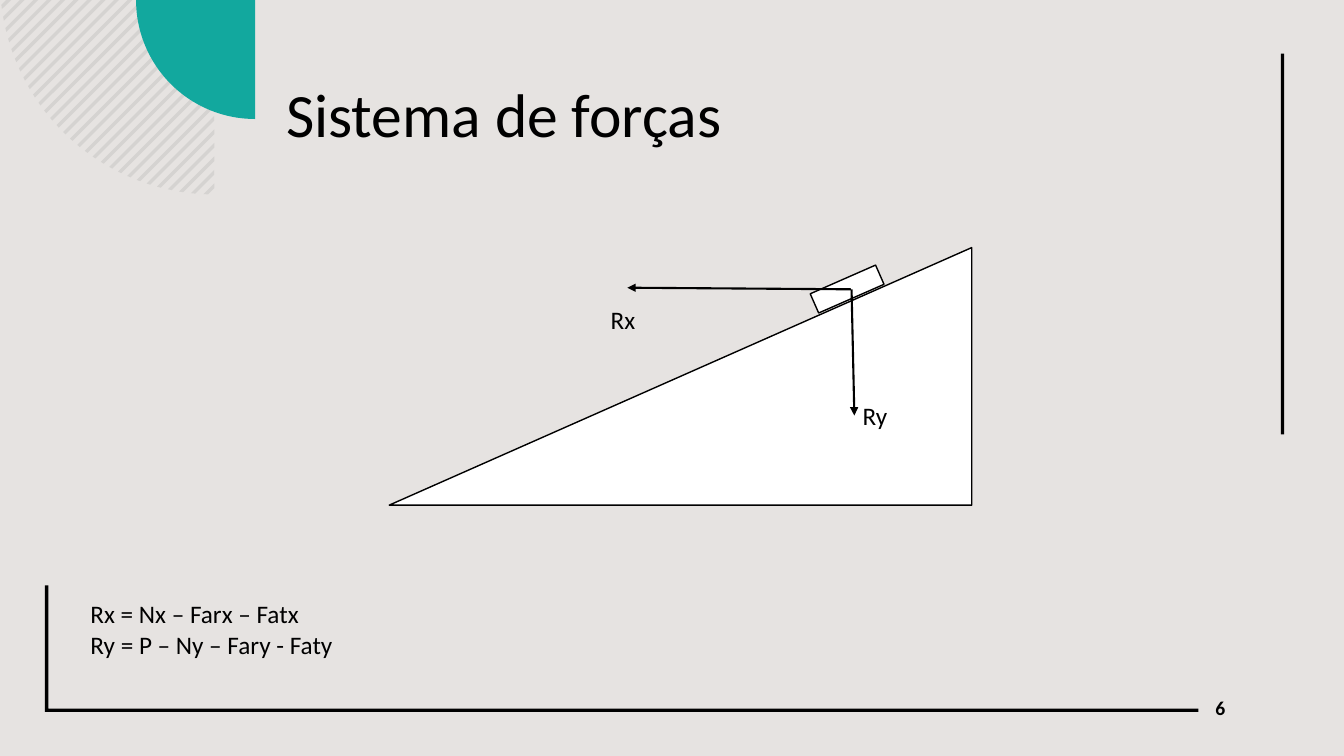
from math import cos, pi, sin, sqrt
from lxml import etree
from pptx import Presentation
from pptx.dml.color import RGBColor
from pptx.enum.shapes import MSO_CONNECTOR, MSO_SHAPE
from pptx.enum.text import MSO_ANCHOR
from pptx.oxml.ns import qn
from pptx.util import Cm, Pt

BACKGROUND = RGBColor(0xE6, 0xE3, 0xE1)
HATCH = RGBColor(0xD5, 0xD3, 0xD1)
TEAL = RGBColor(0x12, 0xA8, 0x9E)
BLACK = RGBColor(0x00, 0x00, 0x00)
WHITE = RGBColor(0xFF, 0xFF, 0xFF)

prs = Presentation()
prs.slide_width, prs.slide_height = Cm(33.87), Cm(19.05)
s = prs.slides.add_slide(prs.slide_layouts[6])
s.background.fill.solid()
s.background.fill.fore_color.rgb = BACKGROUND


def paint(sp, fill, outlined=False):
    sp.shadow.inherit = False
    sp.fill.solid()
    sp.fill.fore_color.rgb = fill
    if outlined:
        sp.line.color.rgb = BLACK
        sp.line.width = Pt(1)
    else:
        sp.line.fill.background()


def add_outline(points, fill):
    points = [(Cm(x), Cm(y)) for x, y in points]
    builder = s.shapes.build_freeform(*points[0], scale=1.0)
    builder.add_line_segments(points[1:], close=True)
    paint(builder.convert_to_shape(), fill)


# Hatched quarter disc: diagonal stripes x + y = c, cut by a circle
centre_x, centre_y, radius = 5.4, -0.5, 5.4
for k in range(30):
    near, far = 0.18 + 0.34 * k - 0.02, 0.18 + 0.34 * k + 0.1
    arc_ends, straight_ends = [], []
    for c in (near, far):
        d = c - centre_x - centre_y
        dx = (d - sqrt(2 * radius ** 2 - d ** 2)) / 2
        arc_ends.append((centre_x + dx, centre_y + d - dx))
        straight_ends.append((min(c, centre_x), max(0, c - centre_x)))
    add_outline(arc_ends + straight_ends[::-1], HATCH)

# Teal quarter disc
corner_x, teal_radius, steps = 6.43, 3, 40
angles = [pi / 2 * (1 + i / steps) for i in range(steps + 1)]
add_outline([(corner_x, 0)] + [(corner_x + teal_radius * cos(a), teal_radius * sin(a))
                               for a in angles], TEAL)

# Frame at bottom left and bar at right
add_outline([(1.13, 14.75), (1.13, 17.94), (30.2, 17.94), (30.2, 17.86),
             (1.22, 17.86), (1.22, 14.75)], BLACK)
bar = s.shapes.add_shape(MSO_SHAPE.RECTANGLE, Cm(32.28), Cm(1.35), Cm(0.08), Cm(9.6))
paint(bar, BLACK)

# Inclined plane and block
plane = s.shapes.add_shape(MSO_SHAPE.RIGHT_TRIANGLE, Cm(9.81), Cm(6.24), Cm(14.68), Cm(6.49))
paint(plane, WHITE, outlined=True)
plane._element.spPr.find(qn("a:xfrm")).set("flipH", "1")
block = s.shapes.add_shape(MSO_SHAPE.RECTANGLE, Cm(20.45), Cm(7.02), Cm(1.8), Cm(0.53))
paint(block, WHITE, outlined=True)
block.rotation = 336.3

# Force arrows
for x1, y1, x2, y2 in [(21.46, 7.29, 21.53, 10.47), (21.44, 7.29, 15.81, 7.25)]:
    force = s.shapes.add_connector(MSO_CONNECTOR.STRAIGHT, Cm(x1), Cm(y1), Cm(x2), Cm(y2))
    force.line.color.rgb = BLACK
    force.line.width = Pt(1.5)
    etree.SubElement(force.line._get_or_add_ln(), qn("a:tailEnd"), type="triangle")
    etree.SubElement(force._element.spPr, qn("a:effectLst"))

# Title, page number, labels and equations
texts = [
    (6.96, 1.02, 12.42, 3.89, 44, ["Sistema de forças"]),
    (30.38, 17.42, 2.51, 1.02, 14, ["6"]),
    (15.14, 7.54, 1.3, 1.02, 18, ["Rx"]),
    (21.49, 9.96, 5.77, 1.02, 18, ["Ry"]),
    (2.03, 14.96, 7.01, 1.8, 18, ["Rx = Nx – Farx – Fatx", "Ry = P – Ny – Fary - Faty"]),
]
for left, top, width, height, size, lines in texts:
    tf = s.shapes.add_textbox(Cm(left), Cm(top), Cm(width), Cm(height)).text_frame
    tf.word_wrap = True
    is_title = size == 44
    tf.vertical_anchor = MSO_ANCHOR.MIDDLE if is_title else MSO_ANCHOR.TOP
    for i, line in enumerate(lines):
        p = tf.paragraphs[0] if i == 0 else tf.add_paragraph()
        if is_title:
            p.line_spacing = 0.9
        r = p.add_run()
        r.text = line
        r.font.name = "Calibri"
        r.font.size = Pt(size)
        r.font.bold = size == 14
        r.font.color.rgb = BLACK

prs.save("out.pptx")
